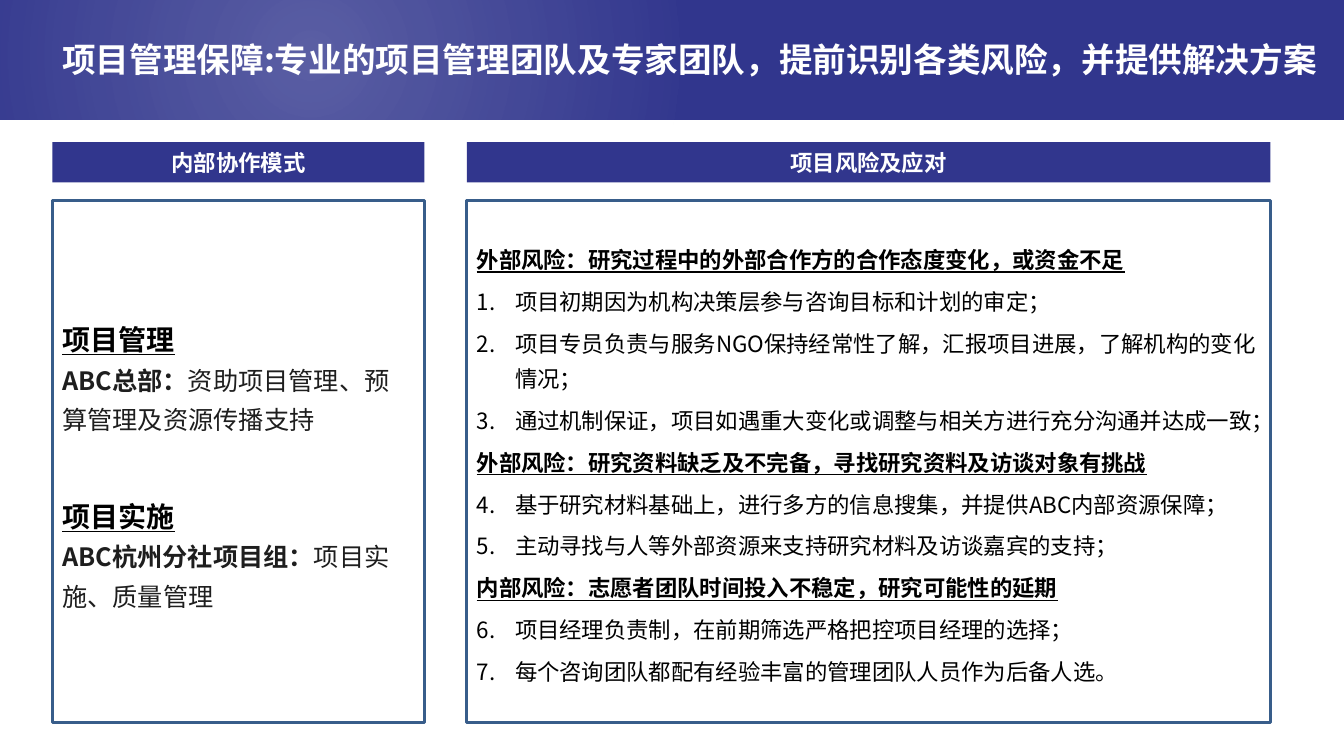
from lxml.etree import SubElement
from pptx import Presentation
from pptx.dml.color import RGBColor
from pptx.enum.shapes import MSO_SHAPE
from pptx.enum.text import MSO_ANCHOR, PP_ALIGN
from pptx.oxml import parse_xml
from pptx.oxml.ns import nsdecls, qn
from pptx.util import Inches, Pt

COLORS = {"navy": "31368D", "frame": "385D8A", "white": "FFFFFF",
          "black": "000000", "ink": "1E1E1E"}
FONT = "Noto Sans CJK SC"
LINE_SPACING = 1.3

RISKS = [
    ("外部风险：研究过程中的外部合作方的合作态度变化，或资金不足",
     ["项目初期因为机构决策层参与咨询目标和计划的审定；",
      "项目专员负责与服务NGO保持经常性了解，汇报项目进展，了解机构的变化情况；",
      "通过机制保证，项目如遇重大变化或调整与相关方进行充分沟通并达成一致；"]),
    ("外部风险：研究资料缺乏及不完备，寻找研究资料及访谈对象有挑战",
     ["基于研究材料基础上，进行多方的信息搜集，并提供ABC内部资源保障；",
      "主动寻找与人等外部资源来支持研究材料及访谈嘉宾的支持；"]),
    ("内部风险：志愿者团队时间投入不稳定，研究可能性的延期",
     ["项目经理负责制，在前期筛选严格把控项目经理的选择；",
      "每个咨询团队都配有经验丰富的管理团队人员作为后备人选。"]),
]
TEAMS = [
    ("项目管理", "ABC总部：", "资助项目管理、预算管理及资源传播支持"),
    ("项目实施", "ABC杭州分社项目组：", "项目实施、质量管理"),
]


def rgb(name):
    return RGBColor.from_string(COLORS[name])


class SlideBuilder:
    """Holds the slide and draws its elements in one style."""

    def __init__(self, slide):
        self.slide = slide

    def rect(self, left, top, width, height, fill=None, line=None):
        box = self.slide.shapes.add_shape(
            MSO_SHAPE.RECTANGLE, Inches(left), Inches(top), Inches(width), Inches(height))
        box.shadow.inherit = False
        if fill:
            box.fill.solid()
            box.fill.fore_color.rgb = rgb(fill)
        else:
            box.fill.background()
        if line:
            box.line.color.rgb = rgb(line)
            box.line.width = Pt(2)
        else:
            box.line.fill.background()
        box.text_frame.word_wrap = True
        box.text_frame.vertical_anchor = MSO_ANCHOR.MIDDLE
        return box

    def glow(self, left, top, width, height):
        halo = self.rect(left, top, width, height)
        properties = halo._element.spPr
        gradient = parse_xml(
            f'<a:gradFill {nsdecls("a")} rotWithShape="1"><a:gsLst>'
            f'<a:gs pos="0"><a:srgbClr val="{COLORS["white"]}"><a:alpha val="20000"/></a:srgbClr></a:gs>'
            f'<a:gs pos="66000"><a:srgbClr val="{COLORS["white"]}"><a:alpha val="0"/></a:srgbClr></a:gs>'
            '</a:gsLst><a:path path="circle">'
            '<a:fillToRect l="50000" t="50000" r="50000" b="50000"/></a:path></a:gradFill>')
        properties.replace(properties.find(qn("a:noFill")), gradient)

    def style(self, run, size, color, bold=False, underline=False):
        run.font.name = FONT
        run.font.size = Pt(size)
        run.font.bold = bold
        run.font.underline = underline
        run.font.color.rgb = rgb(color)
        east_asian = SubElement(run._r.get_or_add_rPr(), qn("a:ea"))
        east_asian.set("typeface", FONT)

    def title(self, left, top, width, height, text):
        heading = self.slide.shapes.add_textbox(
            Inches(left), Inches(top), Inches(width), Inches(height))
        frame = heading.text_frame
        frame.word_wrap = True
        frame.vertical_anchor = MSO_ANCHOR.MIDDLE
        frame.text = text
        frame.paragraphs[0].line_spacing = 0.9
        self.style(frame.paragraphs[0].runs[0], 24, "white", bold=True)

    def column(self, left, width, heading):
        banner = self.rect(left, 1.41, width, 0.4, fill="navy")
        banner.text_frame.text = heading
        caption = banner.text_frame.paragraphs[0]
        caption.alignment = PP_ALIGN.CENTER
        self.style(caption.runs[0], 16, "white", bold=True)
        return self.rect(left, 1.99, width, 5.18, line="frame").text_frame

    def paragraph(self, frame, parts, after=0, before=0, number=None):
        first = frame.paragraphs[0]
        line = first if not first.runs else frame.add_paragraph()
        line.alignment = PP_ALIGN.LEFT
        line.line_spacing = LINE_SPACING
        line.space_after = Pt(after)
        if before:
            line.space_before = Pt(before)
        if number:
            properties = line._p.get_or_add_pPr()
            properties.set("marL", str(Inches(0.38)))
            properties.set("indent", str(-Inches(0.38)))
            numbering = SubElement(properties, qn("a:buAutoNum"))
            numbering.set("type", "arabicPeriod")
            numbering.set("startAt", str(number))
        for text, look in parts:
            run = line.add_run()
            run.text = text
            self.style(run, **look)


def main():
    deck = Presentation()
    deck.slide_width, deck.slide_height = Inches(13.33), Inches(7.5)
    page = SlideBuilder(deck.slides.add_slide(deck.slide_layouts[6]))

    page.rect(0, 0, 13.33, 1.19, fill="navy")
    page.glow(-2.47, -0.17, 11.1, 1.44)
    page.title(0.52, 0.38, 12.72, 0.46,
               "项目管理保障:专业的项目管理团队及专家团队，提前识别各类风险，并提供解决方案")

    responses = page.column(4.63, 7.97, "项目风险及应对")
    risk_look = dict(size=16, color="black", bold=True, underline=True)
    number = 0
    for risk, measures in RISKS:
        page.paragraph(responses, [(risk, risk_look)], after=5)
        start = number + 1
        for measure in measures:
            number += 1
            page.paragraph(responses, [(measure, dict(size=16, color="black"))],
                           after=5, number=start)

    cooperation = page.column(0.52, 3.69, "内部协作模式")
    team_look = dict(size=20, color="black", bold=True, underline=True)
    for index, (team, owner, duty) in enumerate(TEAMS):
        page.paragraph(cooperation, [(team, team_look)], before=36 if index else 0)
        page.paragraph(cooperation, [(owner, dict(size=18, color="ink", bold=True)),
                                     (duty, dict(size=18, color="ink"))], after=3)

    deck.save("out.pptx")


if __name__ == "__main__":
    main()
